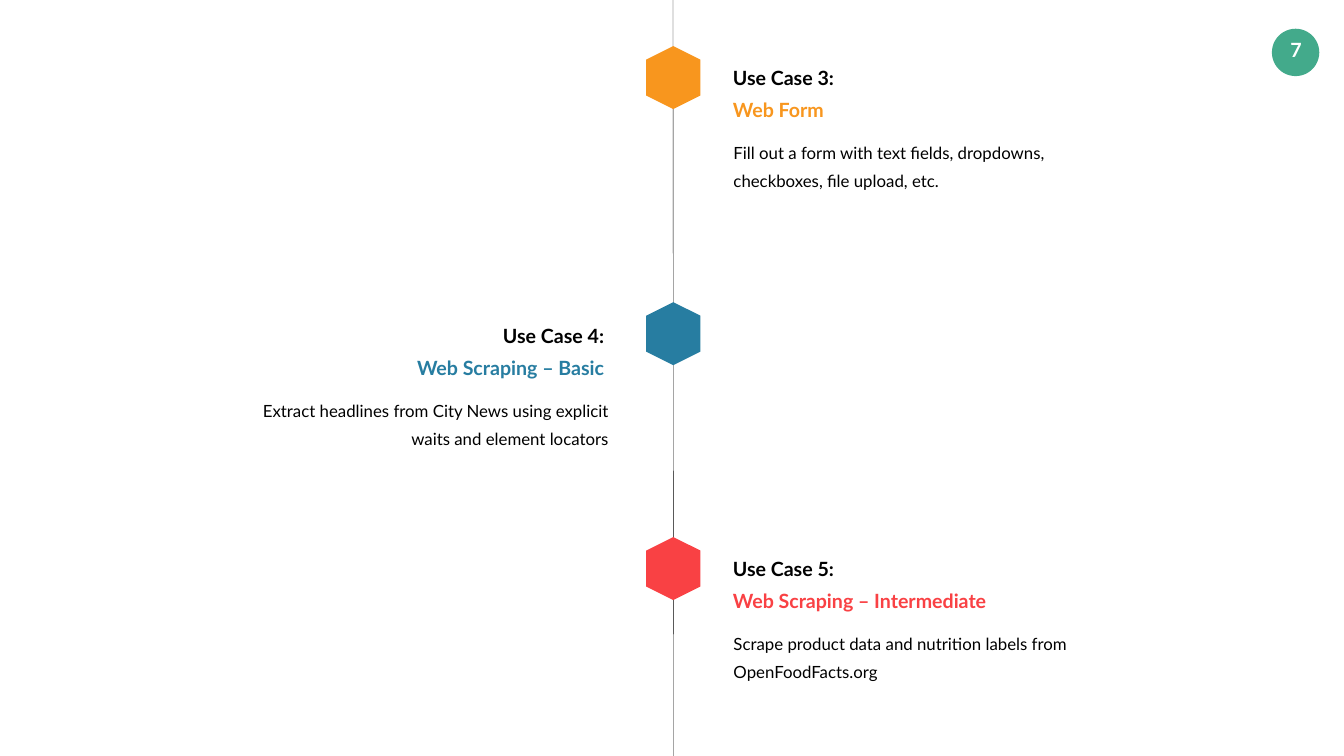
"""Build a timeline slide with three automation use cases."""
import pptx
import pptx.dml.color
import pptx.enum.shapes
import pptx.enum.text
import pptx.util
from lxml import etree

PX = 9144
FONT = "Lato"
COLOURS = {
    "black": "000000",
    "white": "FFFFFF",
    "green": "43AA8B",
    "orange": "F8961E",
    "blue": "277DA1",
    "red": "F94144",
}
SHAPES = pptx.enum.shapes.MSO_SHAPE
ALIGN = pptx.enum.text.PP_ALIGN
ANCHOR = pptx.enum.text.MSO_ANCHOR
AXIS = 1335
HEADING_WIDTH = 224
HEADING_HEIGHT = 57

USE_CASES = [
    {"number": 3, "title": "Web Form", "title_width": 207, "colour": "orange",
     "side": "right", "marker_top": 100, "text_top": 126,
     "body": "Fill out a form with text fields, dropdowns, checkboxes, file upload, etc."},
    {"number": 4, "title": "Web Scraping – Basic", "title_width": 409, "colour": "blue",
     "side": "left", "marker_top": 608, "text_top": 638,
     "body": "Extract headlines from City News using explicit waits and element locators"},
    {"number": 5, "title": "Web Scraping – Intermediate", "title_width": 544, "colour": "red",
     "side": "right", "marker_top": 1074, "text_top": 1100,
     "body": "Scrape product data and nutrition labels from OpenFoodFacts.org"},
]


def px(*lengths):
    return [pptx.util.Emu(length * PX) for length in lengths]


def rgb(name):
    return pptx.dml.color.RGBColor.from_string(COLOURS[name])


def add_text(page, text, left, top, width, height, *, size=28, bold=True, colour="black",
             align=ALIGN.LEFT, anchor=ANCHOR.MIDDLE, margins=(10, 5), wrap=False, spacing=None):
    box = page.shapes.add_textbox(*px(left, top, width, height))
    frame = box.text_frame
    frame.word_wrap = wrap
    frame.auto_size = pptx.enum.text.MSO_AUTO_SIZE.SHAPE_TO_FIT_TEXT
    frame.vertical_anchor = anchor
    frame.margin_left, frame.margin_top = px(*margins)
    frame.margin_right, frame.margin_bottom = px(*margins)
    para = frame.paragraphs[0]
    para.alignment = align
    if spacing:
        para.line_spacing = pptx.util.Pt(spacing)
    span = para.add_run()
    span.text = text
    span.font.name = FONT
    span.font.size = pptx.util.Pt(size)
    span.font.bold = bold
    span.font.color.rgb = rgb(colour)


def add_filled(page, kind, left, top, width, height, colour):
    shape = page.shapes.add_shape(kind, *px(left, top, width, height))
    shape.shadow.inherit = False
    shape.fill.solid()
    shape.fill.fore_color.rgb = rgb(colour)
    shape.line.fill.background()
    return shape


def add_axis(page):
    axis = page.shapes.add_connector(
        pptx.enum.shapes.MSO_CONNECTOR.STRAIGHT, *px(AXIS, 0, AXIS + 1, 1500))
    axis.line.color.rgb = rgb("black")
    axis.line.width = pptx.util.Pt(0.5)
    properties = axis._element.spPr
    etree.SubElement(properties, pptx.oxml.ns.qn("a:effectLst"))


def add_page_number(page, number):
    add_filled(page, SHAPES.OVAL, 2523, 57, 94, 94, "green")
    add_text(page, str(number), 2527, 66, 88, 67, colour="white",
             align=ALIGN.CENTER, anchor=ANCHOR.TOP, margins=(20, 10))


def add_marker(page, top, colour):
    width, height = 125, 108
    marker = add_filled(page, SHAPES.HEXAGON, AXIS - width // 2, top, width, height, colour)
    marker.rotation = 90


def add_use_case(page, case):
    on_right = case["side"] == "right"
    align = ALIGN.LEFT if on_right else ALIGN.RIGHT
    add_marker(page, case["marker_top"], case["colour"])
    headings = [
        (f"Use Case {case['number']}:", HEADING_WIDTH, "black"),
        (case["title"], case["title_width"], case["colour"]),
    ]
    for row, (text, width, colour) in enumerate(headings):
        left = 1444 if on_right else 1208 - width
        add_text(page, text, left, case["text_top"] + 63 * row, width, HEADING_HEIGHT,
                 colour=colour, align=align)
    add_text(page, case["body"], 1431 if on_right else 455, case["text_top"] + 129, 776, 129,
             size=24, bold=False, align=align, anchor=ANCHOR.TOP, margins=(24, 12),
             wrap=True, spacing=40.4)


def main():
    deck = pptx.Presentation()
    deck.slide_width, deck.slide_height = px(2666, 1500)
    page = deck.slides.add_slide(deck.slide_layouts[6])
    add_page_number(page, 7)
    add_axis(page)
    for case in USE_CASES:
        add_use_case(page, case)
    deck.save("out.pptx")


if __name__ == "__main__":
    main()
